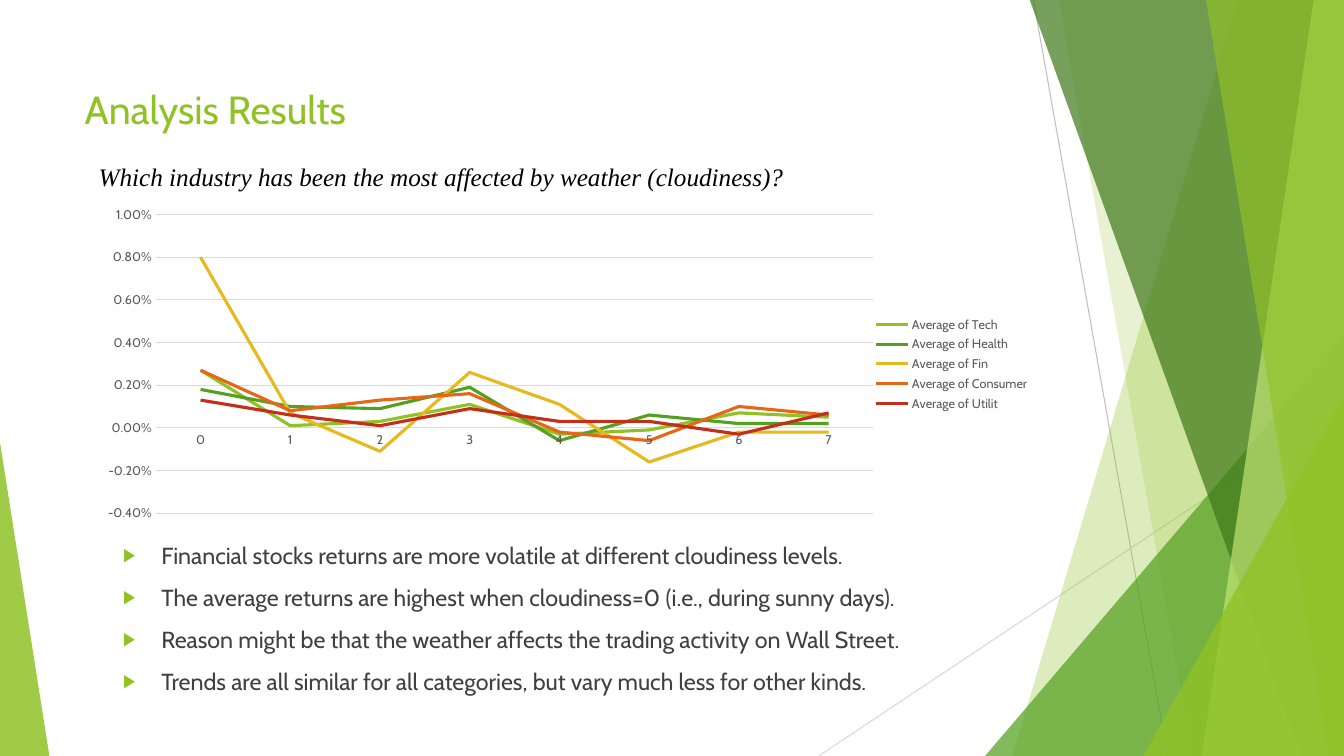
import lxml.etree
import pptx
import pptx.chart.data
import pptx.dml.color
import pptx.enum.chart
import pptx.enum.shapes
import pptx.enum.text
import pptx.oxml
import pptx.oxml.ns
import pptx.util

Inches = pptx.util.Inches
Pt = pptx.util.Pt
qn = pptx.oxml.ns.qn

LIME, GREEN, GOLD, ORANGE, RED = "90C226", "54A021", "E6B91E", "E76618", "C42F1A"
BODY_FONT = "Cabin"

SERIES = [
    ("Tech", LIME, (0.0027, 0.0001, 0.0003, 0.0011, -0.0003, -0.0001, 0.0007, 0.0005)),
    ("Health", GREEN, (0.0018, 0.001, 0.0009, 0.0019, -0.0006, 0.0006, 0.0002, 0.0002)),
    ("Fin", GOLD, (0.008, 0.0007, -0.0011, 0.0026, 0.0011, -0.0016, -0.0002, -0.0002)),
    ("Consumer", ORANGE, (0.0027, 0.0008, 0.0013, 0.0016, -0.0002, -0.0006, 0.001, 0.0006)),
    ("Utilit", RED, (0.0013, 0.0006, 0.0001, 0.0009, 0.0003, 0.0003, -0.0003, 0.0007)),
]

FINDINGS = [
    "Financial stocks returns are more volatile at different cloudiness levels.",
    "The average returns are highest when cloudiness=0 (i.e., during sunny days).",
    "Reason might be that the weather affects the trading activity on Wall Street.",
    "Trends are all similar for all categories, but vary much less for other kinds.",
]


def rgb(color):
    return pptx.dml.color.RGBColor.from_string(color)


def style_font(font, size, color, name=BODY_FONT):
    font.size, font.name = Pt(size), name
    font.color.rgb = rgb(color)


def style_line(line, color, width):
    line.color.rgb = rgb(color)
    line.width = Pt(width)


def place(shape, *box):
    shape.left, shape.top, shape.width, shape.height = map(Inches, box)


def tint(shape, color, opacity):
    shape.shadow.inherit = False
    shape.line.fill.background()
    shape.fill.solid()
    shape.fill.fore_color.rgb = rgb(color)
    srgb = shape.fill._xPr.find(".//" + qn("a:srgbClr"))
    lxml.etree.SubElement(srgb, qn("a:alpha"), val=str(opacity * 1000))


def add_ray(slide, start, end, color):
    ray = slide.shapes.add_connector(
        pptx.enum.shapes.MSO_CONNECTOR.STRAIGHT, *map(Inches, start + end))
    style_line(ray.line, color, 0.75)
    lxml.etree.SubElement(ray._element.spPr, qn("a:effectLst"))


def add_shard(slide, top_x, bottom_x, color, opacity):
    corners = [(top_x, -0.01), (13.33, -0.01), (13.33, 7.5), (bottom_x, 7.5)]
    start, *others = [(Inches(x), Inches(y)) for x, y in corners]
    builder = slide.shapes.build_freeform(*start)
    builder.add_line_segments(others, close=True)
    tint(builder.convert_to_shape(), color, opacity)


def add_corner(slide, left, top, width, apex, color, opacity):
    corner = slide.shapes.add_shape(
        pptx.enum.shapes.MSO_SHAPE.ISOSCELES_TRIANGLE,
        *map(Inches, (left, top, width, 7.5 - top)))
    corner.adjustments[0] = apex
    tint(corner, color, opacity)


def add_backdrop(slide):
    add_ray(slide, (10.25, 0), (11.58, 7.5), "BFBFBF")
    add_ray(slide, (13.33, 4.03), (8.12, 7.5), "D9D9D9")
    add_shard(slide, 12.28, 10.04, LIME, 30)
    add_shard(slide, 10.5, 11.83, LIME, 20)
    add_corner(slide, 9.77, 3.33, 3.56, 1, GREEN, 72)
    add_shard(slide, 10.21, 12.91, "3F7819", 70)
    add_shard(slide, 13.03, 11.92, "C0E474", 70)
    add_shard(slide, 11.96, 13.18, LIME, 65)
    add_corner(slide, 11.34, 3.93, 1.99, 1, LIME, 80)
    add_corner(slide, 0, 4.39, 0.49, 0, LIME, 85)


def fill_title(title):
    place(title, 0.74, 0.79, 9.01, 0.57)
    frame = title.text_frame
    frame.text = "Analysis Results"
    frame.auto_size = pptx.enum.text.MSO_AUTO_SIZE.NONE
    frame.vertical_anchor = pptx.enum.text.MSO_ANCHOR.MIDDLE
    heading = frame.paragraphs[0]
    heading.alignment = pptx.enum.text.PP_ALIGN.LEFT
    style_font(heading.font, 28, LIME)


def set_bullet(paragraph):
    props = paragraph._p.get_or_add_pPr()
    props.set("marL", str(Inches(0.38)))
    props.set("indent", str(-Inches(0.38)))
    color = lxml.etree.SubElement(props, qn("a:buClr"))
    lxml.etree.SubElement(color, qn("a:srgbClr"), val=LIME)
    lxml.etree.SubElement(props, qn("a:buSzPct"), val="80000")
    lxml.etree.SubElement(props, qn("a:buChar"), char="▶")


def fill_findings(body):
    place(body, 1.12, 5.32, 9.03, 1.45)
    frame = body.text_frame
    frame.text = "\n".join(FINDINGS)
    frame.auto_size = pptx.enum.text.MSO_AUTO_SIZE.NONE
    frame.vertical_anchor = pptx.enum.text.MSO_ANCHOR.TOP
    for finding in frame.paragraphs:
        finding.space_before = Pt(10)
        set_bullet(finding)
        style_font(finding.font, 16.6, "404040")


def add_question(slide):
    box = slide.shapes.add_textbox(*map(Inches, (0.88, 1.53, 8.3, 0.43)))
    box.text_frame.word_wrap = True
    question = box.text_frame.paragraphs[0]
    question.text = "Which industry has been the most affected by weather (cloudiness)?"
    question.alignment = pptx.enum.text.PP_ALIGN.JUSTIFY
    question.line_spacing = 1.07
    question.space_before = question.space_after = Pt(12)
    question.font.italic = True
    style_font(question.font, 18, "000000", "Times New Roman")


def set_plot_area(chart, **box):
    area = chart._chartSpace.chart.plotArea
    for old in area.findall(qn("c:layout")):
        area.remove(old)
    layout = lxml.etree.Element(qn("c:layout"))
    area.insert(0, layout)
    manual = lxml.etree.SubElement(layout, qn("c:manualLayout"))
    settings = {"layoutTarget": "inner", "xMode": "edge", "yMode": "edge", **box}
    for tag, value in settings.items():
        lxml.etree.SubElement(manual, qn("c:" + tag), val=str(value))


def style_axes(chart):
    for axis in (chart.category_axis, chart.value_axis):
        axis.major_tick_mark = axis.minor_tick_mark = pptx.enum.chart.XL_TICK_MARK.NONE
        style_font(axis.tick_labels.font, 9, "595959")
    style_line(chart.category_axis.format.line, "D9D9D9", 0.75)
    returns = chart.value_axis
    returns.minimum_scale, returns.maximum_scale, returns.major_unit = -0.004, 0.01, 0.002
    returns.tick_labels.number_format = "0.00%"
    returns.tick_labels.number_format_is_linked = False
    returns.format.line.fill.background()
    style_line(returns.major_gridlines.format.line, "D9D9D9", 0.75)


def add_returns_chart(slide):
    data = pptx.chart.data.CategoryChartData(number_format="0.00%")
    data.categories = [str(level) for level in range(8)]
    for industry, _, values in SERIES:
        data.add_series("Average of " + industry, values)
    chart = slide.shapes.add_chart(
        pptx.enum.chart.XL_CHART_TYPE.LINE,
        *map(Inches, (0.74, 2.05, 9.57, 3.12)), data).chart
    style_font(chart.font, 10, "000000")
    chart.has_title = False
    chart.has_legend = True
    chart.legend.position = pptx.enum.chart.XL_LEGEND_POSITION.RIGHT
    chart.legend.include_in_layout = False
    style_font(chart.legend.font, 9, "595959")
    style_axes(chart)
    set_plot_area(chart, x=0.084, y=0.025, w=0.744, h=0.95)
    chart.plots[0].vary_by_categories = False
    for series, (_, color, _) in zip(chart.plots[0].series, SERIES):
        series.smooth = False
        series.marker.style = pptx.enum.chart.XL_MARKER_STYLE.NONE
        style_line(series.format.line, color, 2.25)


def main():
    deck = pptx.Presentation()
    deck.slide_width, deck.slide_height = Inches(13.33), Inches(7.5)
    slide = deck.slides.add_slide(deck.slide_layouts[1])
    add_backdrop(slide)
    fill_title(slide.shapes.title)
    add_returns_chart(slide)
    fill_findings(slide.placeholders[1])
    add_question(slide)
    deck.save("out.pptx")


if __name__ == "__main__":
    main()
